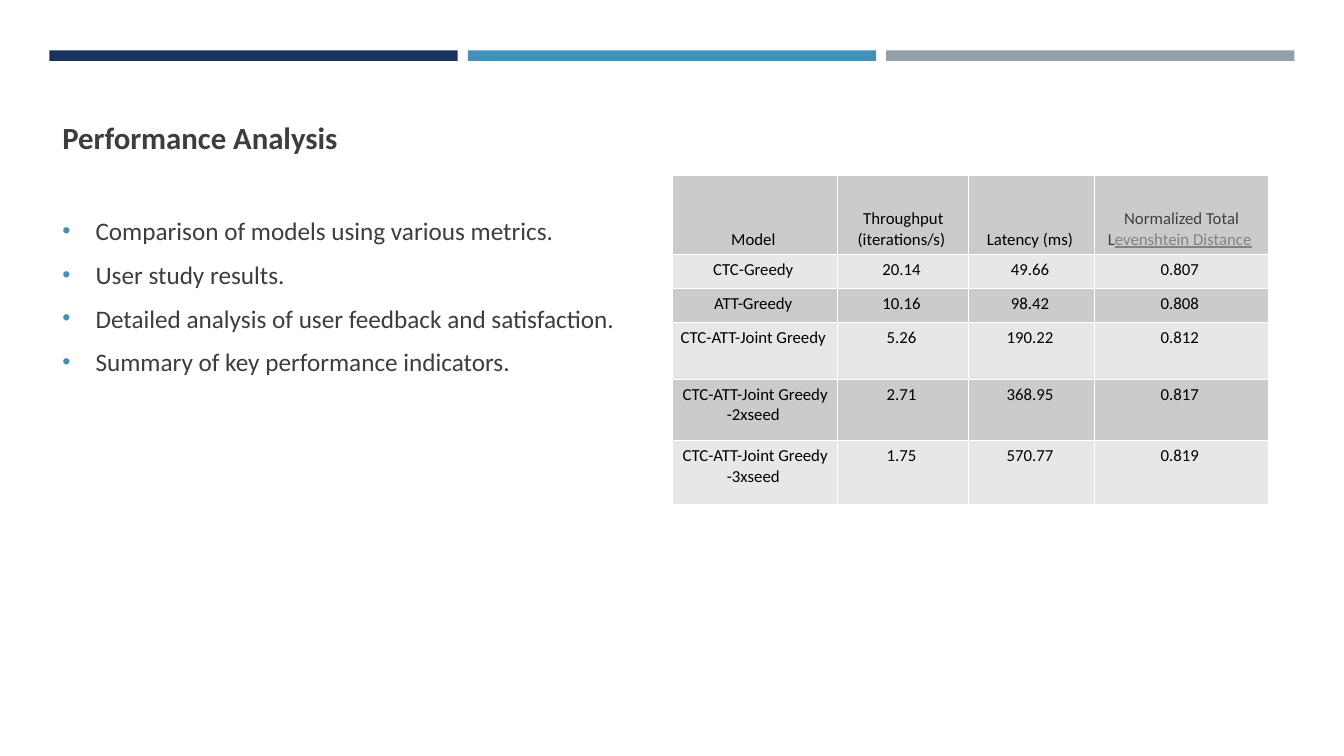
import lxml.etree
import pptx
import pptx.dml.color
import pptx.enum.shapes
import pptx.enum.text
import pptx.oxml.ns
import pptx.util

RGB = pptx.dml.color.RGBColor
NAVY = RGB(0x1A, 0x32, 0x60)
BLUE = RGB(0x45, 0x90, 0xB8)
STEEL = RGB(0x96, 0x9F, 0xA7)
INK = RGB(0x3D, 0x3D, 0x3D)
SLATE = RGB(0x3C, 0x40, 0x43)
LINK = RGB(0x82, 0x82, 0x82)
BLACK = RGB(0x00, 0x00, 0x00)
WHITE = RGB(0xFF, 0xFF, 0xFF)
DARK = RGB(0xCB, 0xCB, 0xCB)
LIGHT = RGB(0xE7, 0xE7, 0xE7)

POINTS = (
    "Comparison of models using various metrics.",
    "User study results.",
    "Detailed analysis of user feedback and satisfaction.",
    "Summary of key performance indicators.",
)
# Words joined by a no-break space stay on one line.
HEAD = (
    "Model ",
    "Throughput (iterations/s) ",
    "Latency (ms) ",
    (
        ("Normalized Total L", {"color": SLATE}),
        ("evenshtein Distance", {"color": LINK, "line": True}),
        (" ", {}),
    ),
)
DATA = (
    ("CTC-Greedy ", "20.14 ", "49.66 ", "0.807 "),
    ("ATT-Greedy ", "10.16 ", "98.42 ", "0.808 "),
    ("CTC-ATT-Joint Greedy ", "5.26 ", "190.22 ", "0.812 "),
    ("CTC-ATT-Joint Greedy -2xseed ", "2.71 ", "368.95 ", "0.817 "),
    ("CTC-ATT-Joint Greedy -3xseed ", "1.75 ", "570.77 ", "0.819 "),
)


def add(node, tag, **attrs):
    item = lxml.etree.SubElement(node, pptx.oxml.ns.qn(tag))
    for key, value in attrs.items():
        item.set(key, str(value))
    return item


def write(para, text, size=12, color=BLACK, bold=False, line=False):
    run = para.add_run()
    run.text = text
    font = run.font
    font.name = "Calibri"
    font.size = pptx.util.Pt(size)
    font.color.rgb = color
    font.bold = bold
    font.underline = line


def mark(para):
    """Give a paragraph a hanging round bullet."""
    props = para._p.get_or_add_pPr()
    hang = pptx.util.Inches(0.33)
    props.set("marL", str(hang))
    props.set("indent", str(-hang))
    add(add(props, "a:buClr"), "a:srgbClr", val=BLUE)
    add(props, "a:buSzPct", val=92000)
    add(props, "a:buFont", typeface="Arial")
    add(props, "a:buChar", char="•")


def edge(cell):
    """Draw thin white borders around a cell."""
    props = cell._tc.get_or_add_tcPr()
    for side in "LRTB":
        line = add(props, f"a:ln{side}", w=pptx.util.Pt(0.79))
        add(add(line, "a:solidFill"), "a:srgbClr", val=WHITE)


class Page:
    """A slide measured on a grid of 100 columns by 100 rows."""

    def __init__(self, deck):
        self.wide = deck.slide_width / 100
        self.high = deck.slide_height / 100
        self.shapes = deck.slides.add_slide(deck.slide_layouts[6]).shapes

    def x(self, cols):
        return round(cols * self.wide)

    def y(self, rows):
        return round(rows * self.high)

    def box(self, left, top, width, height):
        return self.x(left), self.y(top), self.x(width), self.y(height)

    def bar(self, area, color):
        shape = self.shapes.add_shape(
            pptx.enum.shapes.MSO_SHAPE.RECTANGLE, *self.box(*area))
        shape.shadow.inherit = False
        shape.fill.solid()
        shape.fill.fore_color.rgb = color
        shape.line.fill.background()

    def body(self, area, title, points):
        frame = self.shapes.add_textbox(*self.box(*area)).text_frame
        frame.word_wrap = True
        para = frame.paragraphs[0]
        para.space_after = pptx.util.Pt(39)
        write(para, title, size=22, color=INK, bold=True)
        for point in points:
            para = frame.add_paragraph()
            para.space_before = pptx.util.Pt(3.6)
            para.space_after = pptx.util.Pt(6)
            mark(para)
            write(para, point, size=18, color=INK)

    def cell(self, cell, text, fill, anchor):
        edge(cell)
        cell.fill.solid()
        cell.fill.fore_color.rgb = fill
        cell.vertical_anchor = anchor
        cell.margin_left = cell.margin_right = pptx.util.Inches(0.07)
        cell.margin_top = cell.margin_bottom = pptx.util.Inches(0.05)
        para = cell.text_frame.paragraphs[0]
        para.alignment = pptx.enum.text.PP_ALIGN.CENTER
        runs = ((text, {}),) if isinstance(text, str) else text
        for words, style in runs:
            write(para, words, **style)

    def table(self, left, top, cols, rows, data):
        area = self.box(left, top, sum(cols), sum(rows))
        grid = self.shapes.add_table(len(rows), len(cols), *area).table
        for col, width in zip(grid.columns, cols):
            col.width = self.x(width)
        anchors = pptx.enum.text.MSO_ANCHOR
        for i, (row, height) in enumerate(zip(grid.rows, rows)):
            row.height = self.y(height)
            fill = LIGHT if i % 2 else DARK
            anchor = anchors.TOP if i else anchors.BOTTOM
            for cell, text in zip(row.cells, data[i]):
                self.cell(cell, text, fill, anchor)


def main():
    deck = pptx.Presentation()
    deck.slide_width = pptx.util.Inches(13.33)
    deck.slide_height = pptx.util.Inches(7.5)
    page = Page(deck)
    for i, color in enumerate((NAVY, BLUE, STEEL)):
        page.bar((3.68 + 31.13 * i, 6.65, 30.38, 1.4), color)
    page.body((3.9, 15.07, 90.47, 77.07), "Performance Analysis", POINTS)
    page.table(50.04, 23.2, (12.3, 9.75, 9.38, 12.9),
               (10.5, 4.4, 4.6, 7.5, 8.1, 8.5), (HEAD, *DATA))
    deck.save("out.pptx")


if __name__ == "__main__":
    main()
